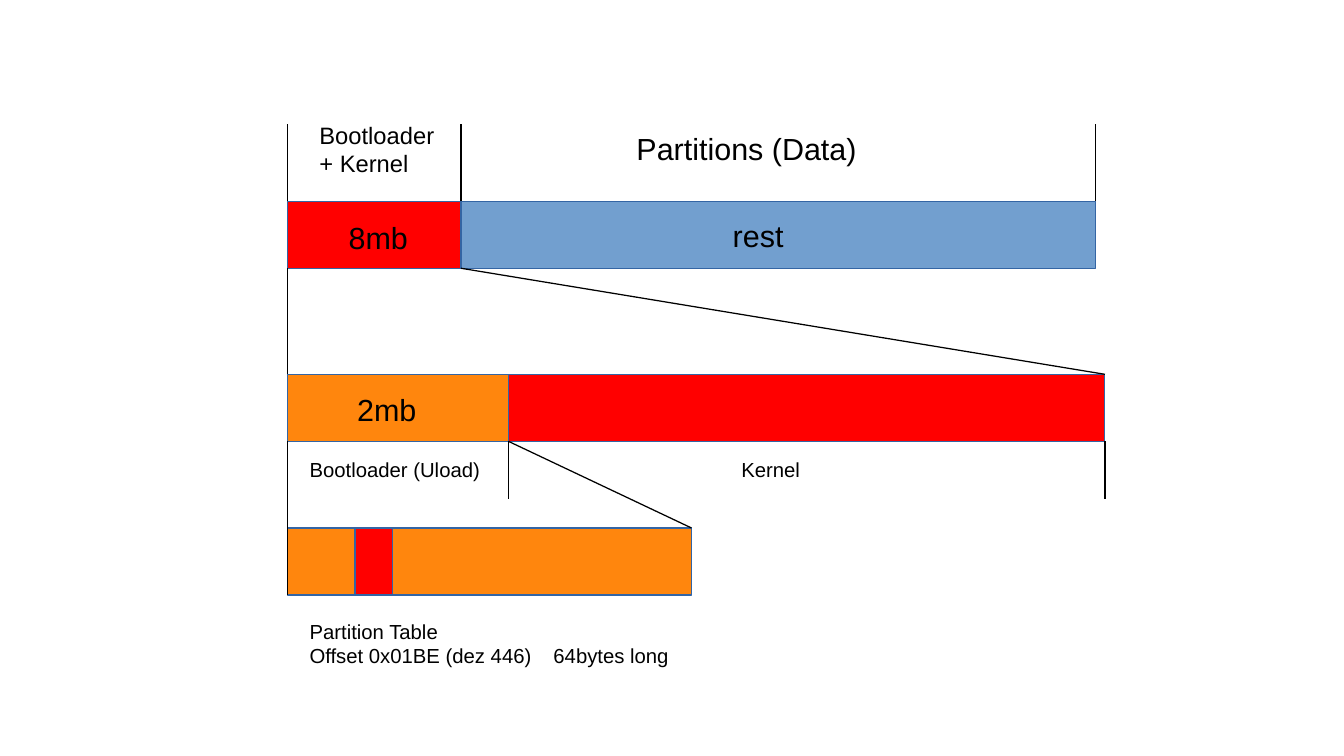
"""Build a slide showing the boot and data layout of a storage device."""
import pptx
import pptx.dml.color
import pptx.enum.shapes
import pptx.enum.text
import pptx.util
from pptx.util import Inches

RGBColor = pptx.dml.color.RGBColor
BLACK = RGBColor(0x00, 0x00, 0x00)
RED = RGBColor(0xFF, 0x00, 0x00)
ORANGE = RGBColor(0xFF, 0x86, 0x0D)
BLUE = RGBColor(0x72, 0x9F, 0xCF)
OUTLINE = RGBColor(0x34, 0x65, 0xA4)

LEFT = 2.36
BAR_HEIGHT = 0.55
DISK_TOP, BOOT_TOP, TABLE_TOP = 1.65, 3.07, 4.33
DISK_BOTTOM, BOOT_BOTTOM, TABLE_BOTTOM = (
    top + BAR_HEIGHT for top in (DISK_TOP, BOOT_TOP, TABLE_TOP))
DISK_SPLIT, DISK_RIGHT = 3.78, 8.98
BOOT_SPLIT, BOOT_RIGHT = 4.17, 9.06
TABLE_RIGHT = 5.67
ENTRY_LEFT, ENTRY_RIGHT = 2.91, 3.22
MARK_TOP, MARK_BOTTOM = 1.02, 4.09


def add_bar(s, left, right, top, color):
    sp = s.shapes.add_shape(
        pptx.enum.shapes.MSO_SHAPE.RECTANGLE, Inches(left), Inches(top),
        Inches(right - left), Inches(BAR_HEIGHT))
    sp.shadow.inherit = False
    sp.fill.solid()
    sp.fill.fore_color.rgb = color
    sp.line.color.rgb = OUTLINE
    sp.line.width = pptx.util.Pt(0.75)


def add_line(s, x1, y1, x2, y2):
    c = s.shapes.add_connector(
        pptx.enum.shapes.MSO_CONNECTOR.STRAIGHT,
        Inches(x1), Inches(y1), Inches(x2), Inches(y2))
    c.line.color.rgb = BLACK
    c.line.width = pptx.util.Pt(0.75)
    pptx.oxml.xmlchemy.OxmlElement
    c._element.spPr.append(pptx.oxml.xmlchemy.OxmlElement("a:effectLst"))


def add_label(s, text, left, top, width, height, size):
    sp = s.shapes.add_textbox(
        Inches(left), Inches(top), Inches(width), Inches(height))
    tf = sp.text_frame
    tf.word_wrap = True
    tf.auto_size = pptx.enum.text.MSO_AUTO_SIZE.SHAPE_TO_FIT_TEXT
    tf.text = text
    for p in tf.paragraphs:
        for r in p.runs:
            r.font.name = "Arial"
            r.font.size = pptx.util.Pt(size)
            r.font.color.rgb = BLACK


def main():
    prs = pptx.Presentation()
    prs.slide_width, prs.slide_height = Inches(11.02), Inches(6.2)
    s = prs.slides.add_slide(prs.slide_layouts[6])

    for bar in (
        (LEFT, DISK_RIGHT, DISK_TOP, BLUE),
        (LEFT, DISK_SPLIT, DISK_TOP, RED),
        (LEFT, BOOT_RIGHT, BOOT_TOP, RED),
        (LEFT, BOOT_SPLIT, BOOT_TOP, ORANGE),
        (LEFT, TABLE_RIGHT, TABLE_TOP, ORANGE),
        (ENTRY_LEFT, ENTRY_RIGHT, TABLE_TOP, RED),
    ):
        add_bar(s, *bar)

    for x in (LEFT, DISK_SPLIT, DISK_RIGHT):
        add_line(s, x, DISK_TOP, x, MARK_TOP)
    for x in (LEFT, BOOT_SPLIT, BOOT_RIGHT):
        add_line(s, x, MARK_BOTTOM, x, BOOT_BOTTOM)
    add_line(s, LEFT, DISK_BOTTOM, LEFT, BOOT_TOP)
    add_line(s, DISK_SPLIT, DISK_BOTTOM, BOOT_RIGHT, BOOT_TOP)
    add_line(s, LEFT, MARK_BOTTOM, LEFT, TABLE_BOTTOM)
    add_line(s, BOOT_SPLIT, BOOT_BOTTOM, TABLE_RIGHT, TABLE_TOP)

    for label in (
        ("Bootloader + Kernel", 2.52, 0.94, 1.18, 0.53, 14),
        ("Partitions (Data)", 5.12, 1.02, 2.99, 0.38, 18),
        ("8mb", 2.76, 1.75, 0.71, 0.38, 18),
        ("rest", 5.91, 1.73, 1.73, 0.38, 18),
        ("2mb", 2.83, 3.16, 0.71, 0.38, 18),
        ("Bootloader (Uload)", 2.44, 3.7, 1.65, 0.47, 12),
        ("Kernel", 5.98, 3.7, 1.65, 0.47, 12),
        ("Partition Table\nOffset 0x01BE (dez 446)\t64bytes long",
         2.44, 5.03, 3.86, 1.03, 12),
    ):
        add_label(s, *label)

    prs.save("out.pptx")


if __name__ == "__main__":
    main()
